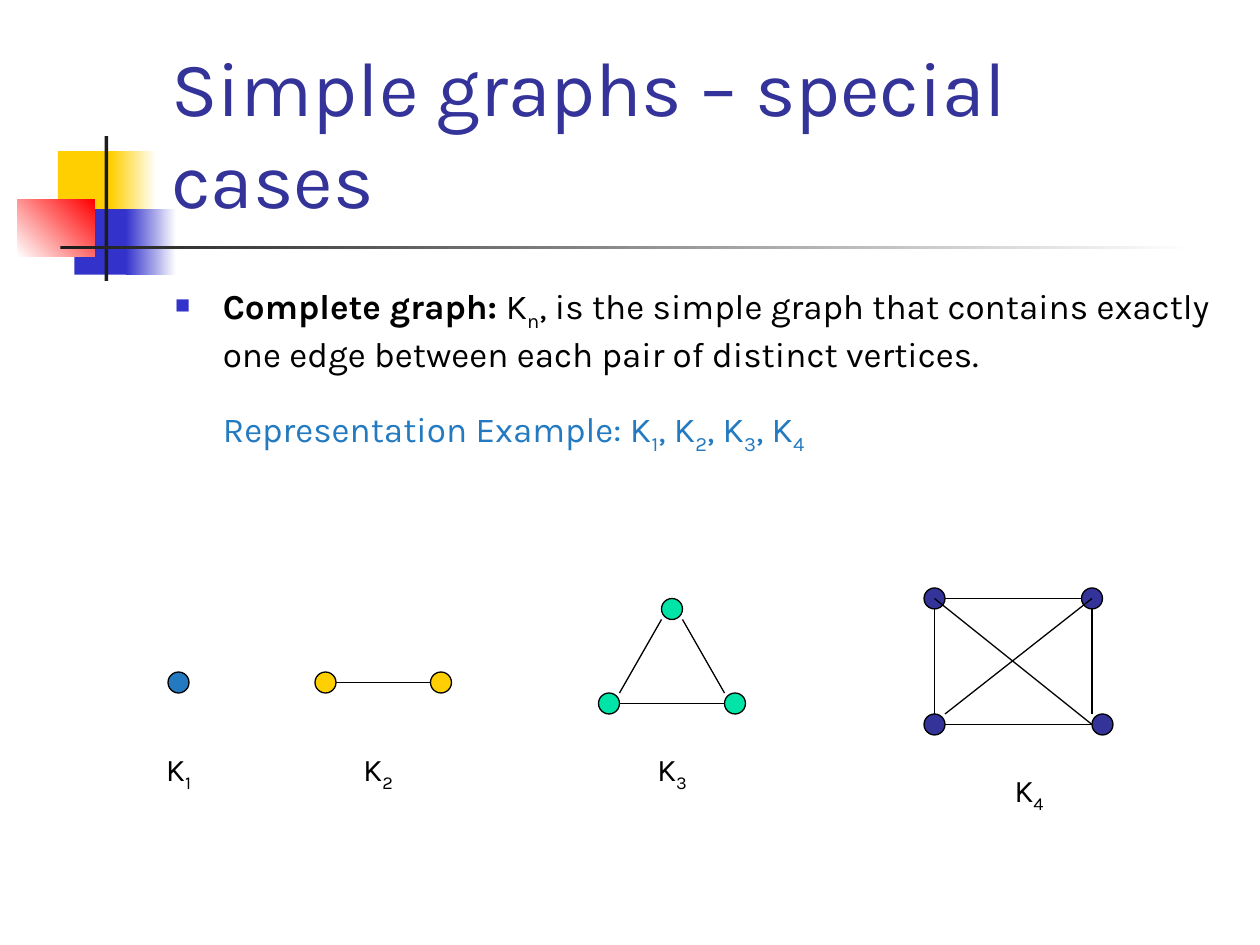
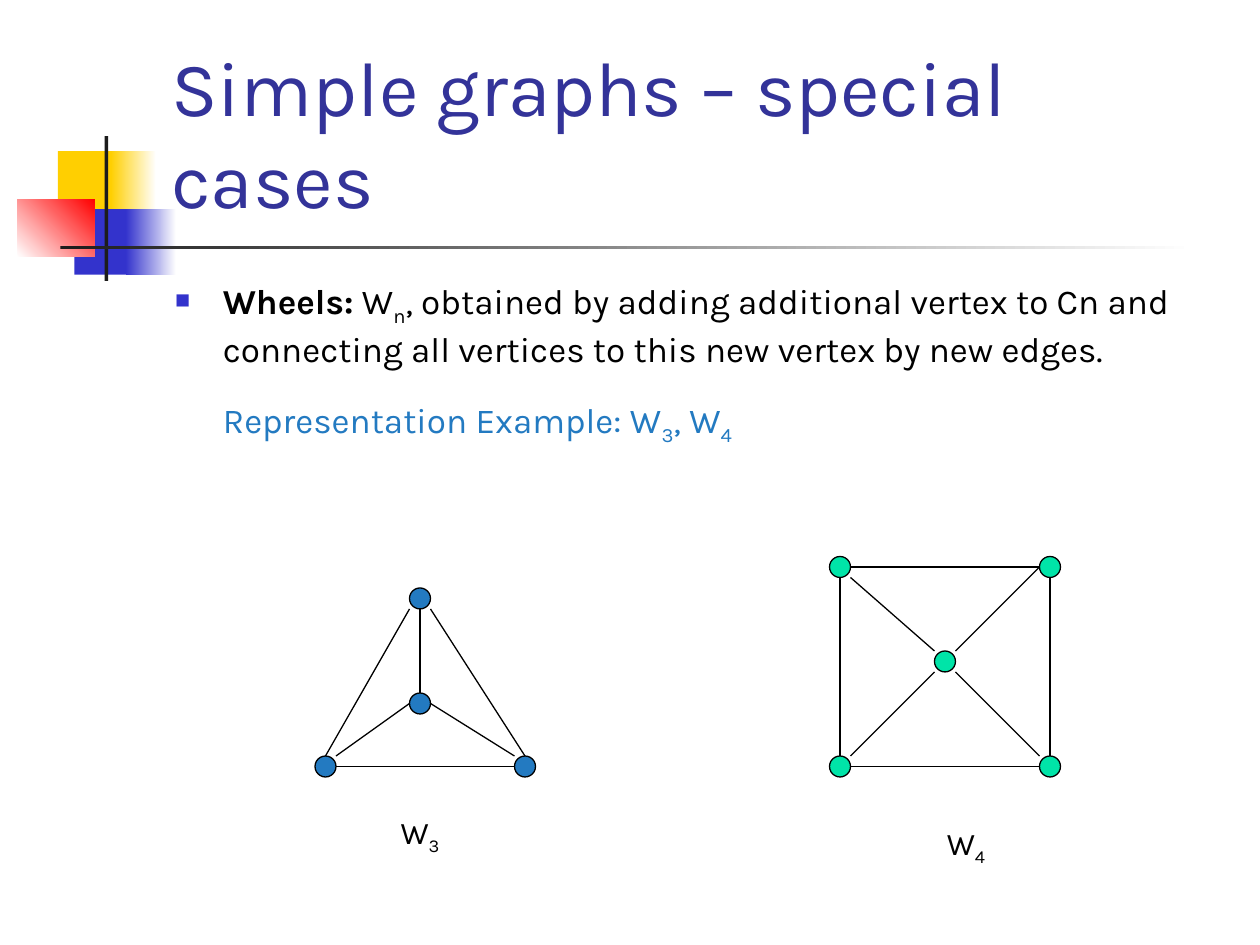
from lxml.etree import SubElement
from pptx import Presentation
from pptx.dml.color import RGBColor
from pptx.enum.shapes import MSO_CONNECTOR, MSO_SHAPE as Shape
from pptx.enum.text import MSO_ANCHOR as Anchor, PP_ALIGN as Align
from pptx.oxml.ns import qn
from pptx.util import Inches, Pt

# Shared look
FONT = "Karla"
BLACK, WHITE, INK = "000000", "FFFFFF", "1C1C1C"
YELLOW, BLUE, RED = "FFCF01", "3333CC", "FF0000"
NAVY, SKY, GREEN = "333399", "237AC1", "00E4A8"
TITLE = "Simple graphs – special cases"
TITLE_BOX = (1.26, 0.23, 8.52, 1.6)
BODY_LEFT, BODY_WIDTH, BODY_HEIGHT = 1.29, 8.5, 1.75
INDENT = 0.38

# Title ornament: box, colours (two make a gradient), angle
ORNAMENT = [
    ((0.46, 1.2, 0.48, 0.52), [YELLOW], 0),
    ((0.88, 1.2, 0.36, 0.52), [YELLOW, WHITE], 0),
    ((0.59, 1.66, 0.46, 0.52), [BLUE], 0),
    ((1, 1.66, 0.4, 0.52), [BLUE, WHITE], 0),
    ((0.14, 1.58, 0.61, 0.46), [WHITE, RED], 45),
    ((0.83, 1.08, 0.03, 1.15), [INK], 0),
    ((0.48, 1.95, 9, 0.03), [INK, WHITE], 0),
]

# Graphs lie on a grid of twelve cells to the inch. Vertices give their centre;
# an edge end is a vertex and the side or corner of its box ("c" is the centre).
CELL = 1 / 12
LABEL_SIZE = (4, 3)
SIDES = {"c": (0, 0), "n": (0, -1), "s": (0, 1), "w": (-1, 0), "e": (1, 0),
         "nw": (-1, -1), "ne": (1, -1), "sw": (-1, 1), "se": (1, 1)}

# In texts, the character after "_" is a subscript
SLIDES = [
    {
        "term": "Complete graph:",
        "definition": " K_n, is the simple graph that contains exactly one edge "
                      "between each pair of distinct vertices.",
        "example": "Representation Example: K_1, K_2, K_3, K_4",
        "body_top": 2.21, "example_gap": 19,
        "graphs": [
            {"label": "K_1", "label_at": (15, 72), "color": SKY,
             "vertices": {"only": (17, 65)}, "edges": []},
            {"label": "K_2", "label_at": (34, 72), "color": YELLOW,
             "vertices": {"left": (31, 65), "right": (42, 65)},
             "edges": ["left.e right.w"]},
            {"label": "K_3", "label_at": (62, 72), "color": GREEN,
             "vertices": {"top": (64, 58), "left": (58, 67), "right": (70, 67)},
             "edges": ["top.se right.nw", "left.e right.w", "left.ne top.sw"]},
            {"label": "K_4", "label_at": (96, 74), "color": NAVY,
             "vertices": {"A": (89, 57), "B": (104, 57),
                          "C": (105, 69), "D": (89, 69)},
             "edges": ["A.e B.w", "D.e C.w", "A.s D.n", "B.s C.nw",
                       "A.c C.w", "D.ne B.c"]},
        ],
    },
    {
        "term": "Wheels:",
        "definition": " W_n, obtained by adding additional vertex to Cn and "
                      "connecting all vertices to this new vertex by new edges.",
        "example": "Representation Example: W_3, W_4",
        "body_top": 2.17, "example_gap": 16.5,
        "graphs": [
            {"label": "W_3", "label_at": (38, 78), "color": SKY,
             "vertices": {"top": (40, 57), "left": (31, 73),
                          "right": (50, 73), "hub": (40, 67)},
             "edges": ["top.s hub.n", "hub.e right.nw", "hub.w left.ne",
                       "left.e right.w", "top.se right.n", "top.sw left.n"]},
            {"label": "W_4", "label_at": (90, 79), "color": GREEN,
             "vertices": {"hub": (90, 63), "A": (80, 54), "B": (100, 54),
                          "C": (100, 73), "D": (80, 73)},
             "edges": ["A.e B.w", "A.s D.n", "D.e C.w", "B.s C.n", "A.se hub.nw",
                       "B.w hub.ne", "hub.se C.nw", "hub.sw D.ne"]},
        ],
    },
]


def rgb(color):
    return RGBColor.from_string(color)


def inches(lengths):
    return [Inches(length) for length in lengths]


def cells(*counts):
    return [count * CELL for count in counts]


# Text
def add_run(paragraph, text, size, color, bold=False, subscript=False):
    run = paragraph.add_run()
    run.text = text
    font = run.font
    font.name, font.size, font.bold = FONT, Pt(size), bold
    font.color.rgb = rgb(color)
    if subscript:
        run._r.get_or_add_rPr().set("baseline", "-25000")


def add_marked_text(paragraph, text, size, color):
    first, *rest = text.split("_")
    add_run(paragraph, first, size, color)
    for part in rest:
        add_run(paragraph, part[0], size, color, subscript=True)
        if part[1:]:
            add_run(paragraph, part[1:], size, color)


def add_text_frame(slide, box):
    frame = slide.shapes.add_textbox(*inches(box)).text_frame
    frame.word_wrap = True
    return frame


def set_bullet(paragraph):
    properties = paragraph._p.get_or_add_pPr()
    properties.set("indent", str(-Inches(INDENT)))
    color = SubElement(properties, qn("a:buClr"))
    SubElement(color, qn("a:srgbClr"), val=BLUE)
    SubElement(properties, qn("a:buSzPct"), val="60000")
    SubElement(properties, qn("a:buChar"), char="■")


def add_body(slide, content):
    frame = add_text_frame(
        slide, (BODY_LEFT, content["body_top"], BODY_WIDTH, BODY_HEIGHT))
    definition, example = frame.paragraphs[0], frame.add_paragraph()
    for paragraph in (definition, example):
        paragraph._p.get_or_add_pPr().set("marL", str(Inches(INDENT)))
    set_bullet(definition)
    add_run(definition, content["term"], 20, BLACK, bold=True)
    add_marked_text(definition, content["definition"], 20, BLACK)
    example.space_before = Pt(content["example_gap"])
    add_marked_text(example, content["example"], 20, SKY)


# Shapes
def add_filled(slide, kind, box, colors, angle=0, outline=None):
    shape = slide.shapes.add_shape(kind, *inches(box))
    shape.shadow.inherit = False
    if len(colors) == 1:
        shape.fill.solid()
        shape.fill.fore_color.rgb = rgb(colors[0])
    else:
        shape.fill.gradient()
        shape.fill.gradient_angle = angle
        for stop, color in zip(shape.fill.gradient_stops, colors):
            stop.color.rgb = rgb(color)
    if outline:
        shape.line.color.rgb = rgb(outline)
        shape.line.width = Pt(0.75)
    else:
        shape.line.fill.background()
    return shape


def add_edge(slide, start, end):
    line = slide.shapes.add_connector(
        MSO_CONNECTOR.STRAIGHT, *inches(cells(*start, *end)))
    line.line.color.rgb = rgb(BLACK)
    line.line.width = Pt(0.75)
    SubElement(line._element.spPr, qn("a:effectLst"))


def add_label(slide, text, corner):
    label = add_filled(slide, Shape.RECTANGLE, cells(*corner, *LABEL_SIZE), [WHITE])
    frame = label.text_frame
    frame.word_wrap = False
    frame.vertical_anchor = Anchor.MIDDLE
    paragraph = frame.paragraphs[0]
    paragraph.alignment = Align.CENTER
    add_marked_text(paragraph, text, 18, BLACK)


def add_graph(slide, graph):
    vertices = graph["vertices"]

    def edge_end(reference):
        name, side = reference.split(".")
        return [center + offset for center, offset in zip(vertices[name], SIDES[side])]

    for column, row in vertices.values():
        add_filled(slide, Shape.OVAL, cells(column - 1, row - 1, 2, 2),
                   [graph["color"]], outline=BLACK)
    for edge in graph["edges"]:
        add_edge(slide, *map(edge_end, edge.split()))
    add_label(slide, graph["label"], graph["label_at"])


def add_title(slide):
    for box, colors, angle in ORNAMENT:
        add_filled(slide, Shape.RECTANGLE, box, colors, angle)
    frame = add_text_frame(slide, TITLE_BOX)
    frame.vertical_anchor = Anchor.BOTTOM
    add_run(frame.paragraphs[0], TITLE, 44, NAVY)


def main():
    presentation = Presentation()
    presentation.slide_width, presentation.slide_height = inches((10, 7.5))
    blank = presentation.slide_layouts[6]
    for content in SLIDES:
        slide = presentation.slides.add_slide(blank)
        add_title(slide)
        add_body(slide, content)
        for graph in content["graphs"]:
            add_graph(slide, graph)
    presentation.save("out.pptx")


if __name__ == "__main__":
    main()
